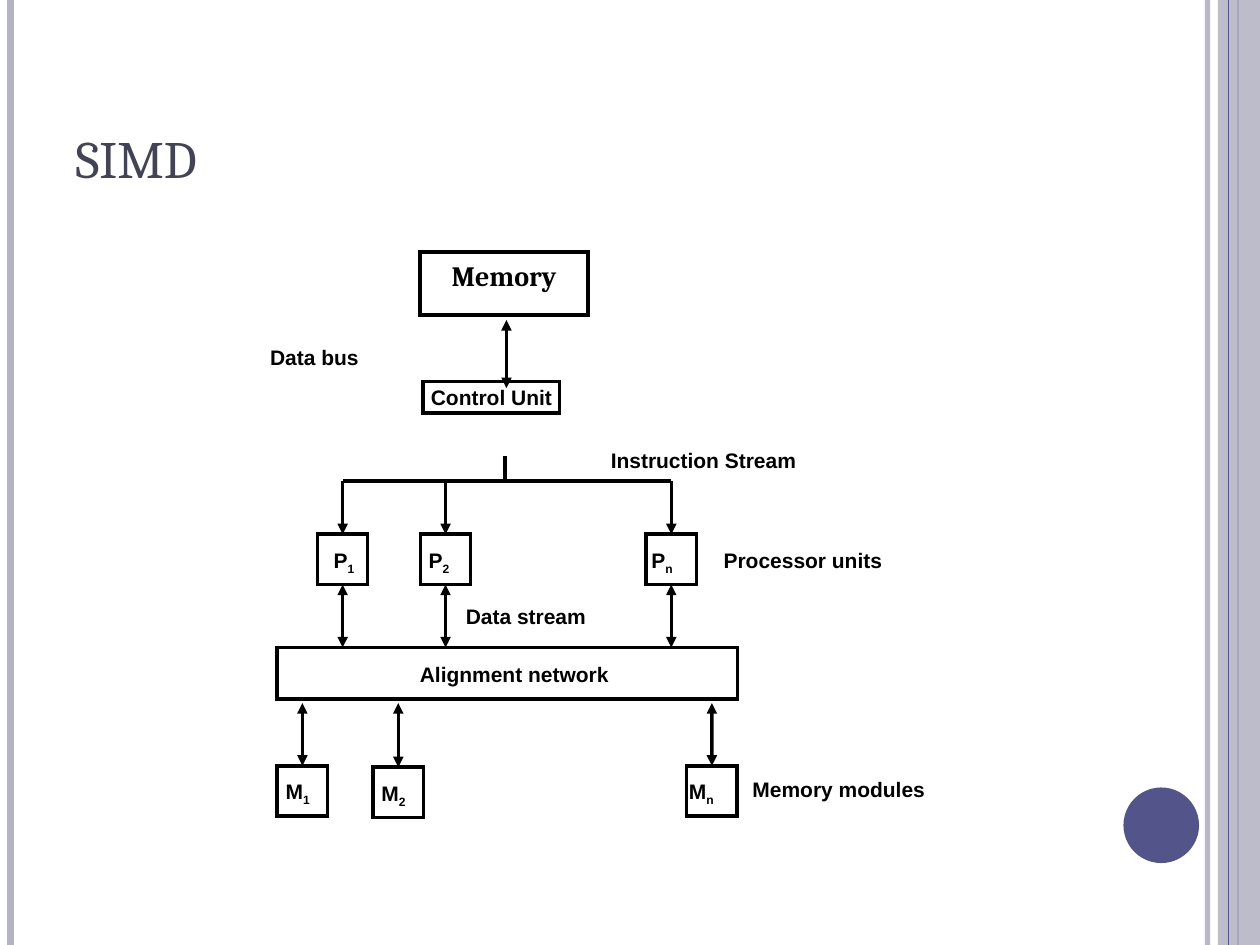
"""Build a slide that shows the SIMD computer organisation as a block diagram."""
from pptx import Presentation
from pptx.dml.color import RGBColor
from pptx.enum.shapes import MSO_CONNECTOR, MSO_SHAPE
from pptx.enum.text import MSO_ANCHOR, PP_ALIGN
from pptx.oxml.ns import qn
from pptx.util import Pt
from lxml.etree import SubElement

BLACK = RGBColor(0x00, 0x00, 0x00)
SLATE = RGBColor(0x42, 0x44, 0x56)
INDIGO = RGBColor(0x53, 0x54, 0x8A)
LAVENDER = RGBColor(0xB3, 0xB3, 0xC4)
SIDE = 28.8
BUS_TOP = 275

deck = Presentation()
deck.slide_width, deck.slide_height = Pt(720), Pt(540)
page = deck.slides.add_slide(deck.slide_layouts[5])


def add_line(start, end, ends=(), color=BLACK, width=2):
    line = page.shapes.add_connector(
        MSO_CONNECTOR.STRAIGHT, *(Pt(value) for value in (*start, *end)))
    line.line.color.rgb = color
    line.line.width = Pt(width)
    for name in ends:
        SubElement(line.line._get_or_add_ln(), qn(f"a:{name}"), type="triangle")
    SubElement(line._element.spPr, qn("a:effectLst"))
    return line


def write_label(box, text, subscript="", wrap=True):
    frame = box.text_frame
    frame.word_wrap = wrap
    frame.vertical_anchor = MSO_ANCHOR.TOP
    frame.margin_left = frame.margin_right = Pt(4.5)
    frame.margin_top = frame.margin_bottom = Pt(1.75)
    para = frame.paragraphs[0]
    para.text = text
    para.alignment = PP_ALIGN.LEFT
    if subscript:
        span = para.add_run()
        span.text = subscript
        span.font._element.set("baseline", "-25000")
    for span in para.runs:
        span.font.name, span.font.size = "Arial", Pt(12)
        span.font.bold = True
        span.font.color.rgb = BLACK


edge = add_line((690, 0), (690, 540), color=LAVENDER, width=3)
add_line((6, 0), (6, 540), color=LAVENDER, width=4.5)
add_line((707.5, 0), (707.5, 540), color=INDIGO, width=1.5)
band = page.shapes.add_shape(MSO_SHAPE.RECTANGLE, Pt(696), Pt(0), Pt(24), Pt(540))
add_line((702, 0), (702, 540), color=INDIGO, width=0.75)
disc = page.shapes.add_shape(MSO_SHAPE.OVAL, Pt(642), Pt(450), Pt(43.2), Pt(43.2))
for shape, color in ((band, LAVENDER), (disc, INDIGO)):
    shape.shadow.inherit = False
    shape.fill.solid()
    shape.fill.fore_color.rgb = color
    shape.line.fill.background()
for shape, alpha in ((edge, "93000"), (band, "87000")):
    color_element = next(shape._element.spPr.iter(qn("a:srgbClr")))
    SubElement(color_element, qn("a:alpha"), val=alpha)

title = page.shapes.title
title.left, title.top, title.width, title.height = Pt(36), Pt(21.6), Pt(588), Pt(90)
title.text_frame.text = "SIMD"
title.text_frame.vertical_anchor = MSO_ANCHOR.BOTTOM
title_para = title.text_frame.paragraphs[0]
title_para.alignment = PP_ALIGN.LEFT
title_font = title_para.runs[0].font
title_font.name, title_font.size = "Cambria", Pt(30)
title_font.color.rgb = SLATE

outlines = {
    "Memory": (240, 144, 96, 36),
    "Control Unit": (241.7, 218, 78, 18),
    "Alignment network": (158.4, 370, 263, 29.6),
    "P1": (181.4, 305.3, SIDE, SIDE),
    "P2": (240.2, 305.3, SIDE, SIDE),
    "Pn": (369.2, 305.3, SIDE, SIDE),
    "M1": (158.4, 437.6, SIDE, SIDE),
    "M2": (213.2, 438.4, SIDE, SIDE),
    "Mn": (392.4, 437.6, SIDE, SIDE),
}
blocks = {}
for name, bounds in outlines.items():
    block = page.shapes.add_shape(
        MSO_SHAPE.RECTANGLE, *(Pt(value) for value in bounds))
    block.shadow.inherit = False
    block.fill.background()
    block.line.color.rgb = BLACK
    block.line.width = Pt(2)
    SubElement(block.line._get_or_add_ln(), qn("a:miter"), lim="800000")
    blocks[name] = block

write_label(blocks["Control Unit"], "Control Unit", wrap=False)
memory_frame = blocks["Memory"].text_frame
memory_frame.text = "Memory"
memory_frame.vertical_anchor = MSO_ANCHOR.TOP
memory_para = memory_frame.paragraphs[0]
memory_para.alignment = PP_ALIGN.CENTER
memory_font = memory_para.runs[0].font
memory_font.name, memory_font.size = "Cambria", Pt(16)
memory_font.bold = True
memory_font.color.rgb = BLACK

labels = [
    ("Alignment network", 235.4, 376.3, 126),
    ("Data bus", 149.8, 195.1, 68),
    ("Instruction Stream", 344.5, 254.2, 126),
    ("Data stream", 261.7, 343.4, 86),
    ("Processor units", 409, 311, 108),
    ("Memory modules", 425.5, 442.1, 116),
]
for text, left, top, width in labels:
    box = page.shapes.add_textbox(Pt(left), Pt(top), Pt(width), Pt(18))
    write_label(box, text)

symbols = [
    ("P", "1", 186.2, 311), ("P", "2", 240.5, 311), ("P", "n", 367.7, 311),
    ("M", "1", 158.8, 443.2), ("M", "2", 213.5, 444.2), ("M", "n", 389.2, 443.2),
]
for letter, index, left, top in symbols:
    box = page.shapes.add_textbox(Pt(left), Pt(top), Pt(36), Pt(19.4))
    write_label(box, letter, index)

BOTH = ("headEnd", "tailEnd")
add_line((289.4, 182.9), (289.4, 221.8), BOTH)
add_line((288.7, 260.6), (288.7, BUS_TOP))
centers = {name: bounds[0] + SIDE / 2 for name, bounds in outlines.items()}
add_line((centers["P1"], BUS_TOP), (centers["Pn"], BUS_TOP))
for index in "12n":
    processor, module = f"P{index}", f"M{index}"
    middle = centers[processor]
    feed = add_line((middle, BUS_TOP), (middle, 304), ("tailEnd",))
    feed.end_connect(blocks[processor], 0)
    stream = add_line((middle, 334), (middle, 370), BOTH)
    stream.begin_connect(blocks[processor], 2)
    middle = centers[module]
    access = add_line((middle, 401.8), (middle, 436.3), BOTH)
    access.end_connect(blocks[module], 0)

deck.save("out.pptx")
